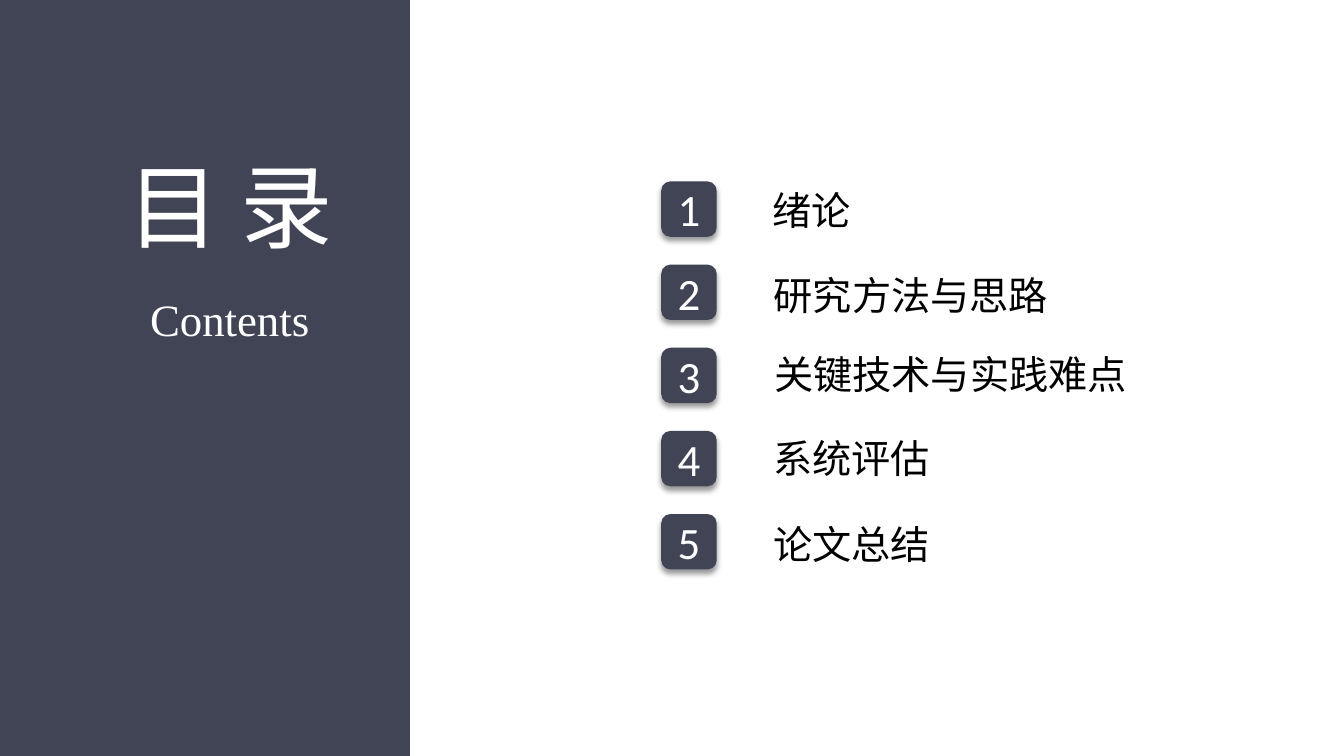
from lxml import etree
from pptx import Presentation, util as u
from pptx.dml.color import RGBColor
from pptx.enum import shapes, text
from pptx.oxml.ns import qn

SLATE, WHITE, BLACK = "414455", "FFFFFF", "000000"
HAN, LATIN, SERIF = "Noto Sans CJK SC", "Calibri", "Times New Roman"


def color(value):
    return RGBColor.from_string(value)


def write(tf, content, font=HAN, size=28, fill=BLACK, anchor=text.MSO_ANCHOR.TOP):
    tf.vertical_anchor = anchor
    p = tf.paragraphs[0]
    p.alignment = text.PP_ALIGN.CENTER
    r = p.add_run()
    r.text = content
    r.font.name, r.font.size = font, u.Pt(size)
    r.font.color.rgb = color(fill)
    etree.SubElement(r.font._element, qn("a:ea"), typeface=font)


class Deck:
    """Positions and sizes are percentages of the slide's width and height."""

    def __init__(self):
        self.prs = Presentation()
        self.prs.slide_width, self.prs.slide_height = u.Inches(13.33), u.Inches(7.5)
        self.s = self.prs.slides.add_slide(self.prs.slide_layouts[5])

    def box(self, x, y, w, h):
        sw, sh = self.prs.slide_width, self.prs.slide_height
        return [round(v * side / 100) for v, side in zip((x, y, w, h), (sw, sh, sw, sh))]

    def block(self, kind, *at):
        sp = self.s.shapes.add_shape(kind, *self.box(*at))
        sp.shadow.inherit = False
        sp.fill.solid()
        sp.fill.fore_color.rgb = color(SLATE)
        sp.line.fill.background()
        return sp

    def badge(self, number, *at):
        sp = self.block(shapes.MSO_SHAPE.ROUNDED_RECTANGLE, *at)
        effects = sp.element.spPr.find(qn("a:effectLst"))
        shadow = etree.SubElement(effects, qn("a:outerShdw"), blurRad=str(u.Pt(4)),
                                  dist=str(u.Pt(3)), dir="5400000", rotWithShape="0")
        tint = etree.SubElement(shadow, qn("a:srgbClr"), val=BLACK)
        etree.SubElement(tint, qn("a:alpha"), val="40000")
        write(sp.text_frame, number, font=LATIN, size=32, fill=WHITE,
              anchor=text.MSO_ANCHOR.MIDDLE)

    def fit(self, sp, content, **style):
        tf = sp.text_frame
        tf.word_wrap = False
        tf.auto_size = text.MSO_AUTO_SIZE.SHAPE_TO_FIT_TEXT
        write(tf, content, **style)

    def label(self, content, *at, **style):
        self.fit(self.s.shapes.add_textbox(*self.box(*at)), content, **style)

    def title(self, content, *at, **style):
        sp = self.s.shapes.title
        sp.left, sp.top, sp.width, sp.height = self.box(*at)
        self.fit(sp, content, **style)
        # Bring the title in front of the side panel
        sp.element.getparent().append(sp.element)


def main():
    deck = Deck()

    # Numbered chapters: name and its small vertical offset from the row
    chapters = [("绪论", 0), ("研究方法与思路", 0.2), ("关键技术与实践难点", -0.27),
                ("系统评估", -0.2), ("论文总结", 0.13)]
    for i, (name, shift) in enumerate(chapters):
        row = 24 + 11 * i
        deck.badge(str(i + 1), 49.2, row, 4.13, 7.33)
        deck.label(name, 56.7, row + shift, 1.5 + 2.95 * len(name), 7.6)

    # Side panel with heading
    deck.block(shapes.MSO_SHAPE.RECTANGLE, 0, 0, 30.5, 100)
    deck.title("目 录", 7.65, 19.07, 18.9, 16.13, size=66, fill=WHITE)
    deck.label("Contents", 10.35, 37.87, 13.5, 8.53, font=SERIF, size=32, fill=WHITE)

    deck.prs.save("out.pptx")


if __name__ == "__main__":
    main()
